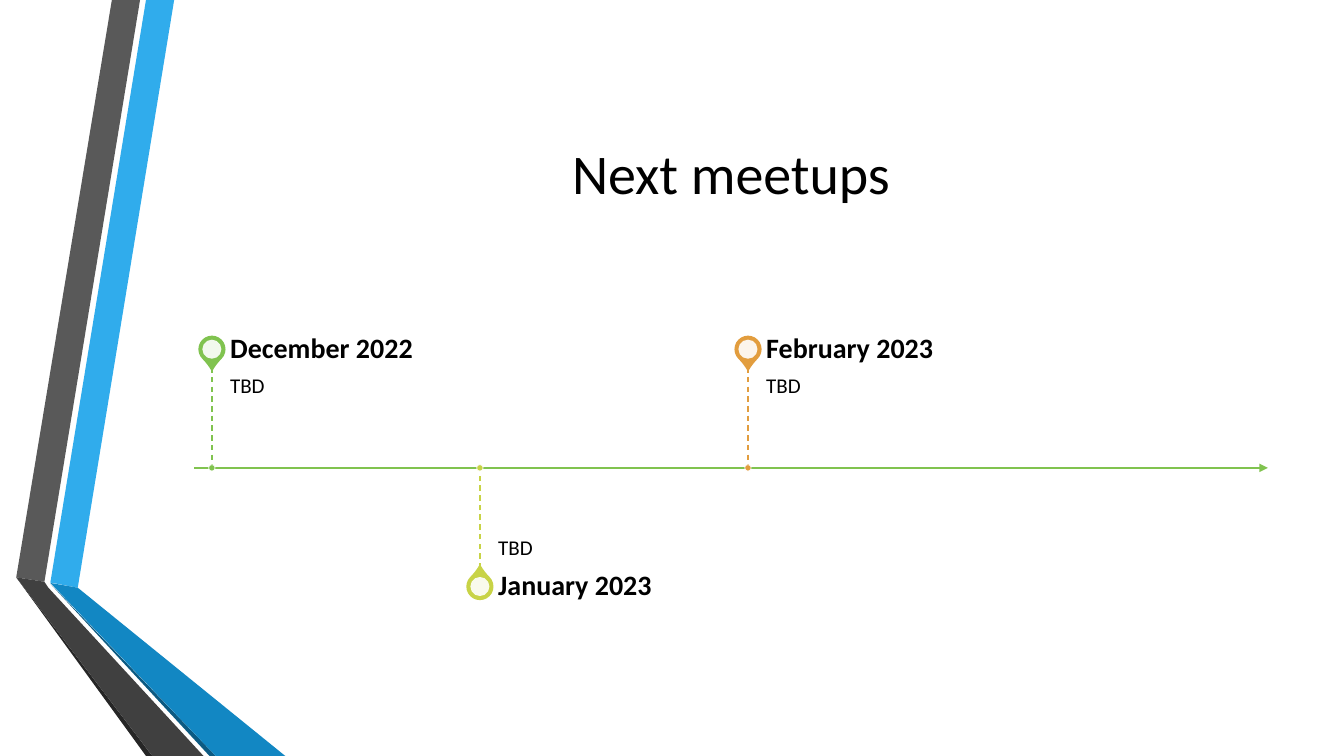
"""Build the "Next meetups" timeline slide."""
from lxml import etree
from pptx import Presentation
from pptx.dml.color import RGBColor
from pptx.enum.dml import MSO_LINE
from pptx.enum.shapes import MSO_CONNECTOR, MSO_SHAPE
from pptx.enum.text import MSO_ANCHOR, PP_ALIGN
from pptx.oxml.ns import qn
from pptx.util import Cm, Pt

STRAIGHT = MSO_CONNECTOR.STRAIGHT
TEARDROP, OVAL = MSO_SHAPE.TEAR, MSO_SHAPE.OVAL
TOP, MIDDLE, BOTTOM = MSO_ANCHOR.TOP, MSO_ANCHOR.MIDDLE, MSO_ANCHOR.BOTTOM
DASH = MSO_LINE.DASH
FONT = "Calibri"
COLORS = {
    "black": "000000", "white": "FFFFFF",
    "blue": "30ACEC", "mid blue": "1287C3", "deep blue": "0C5A82",
    "gray": "595959", "dark gray": "404040", "deep gray": "262626",
    "green": "80C34F", "lime": "C8D346", "orange": "E29D3E",
}
RIBBONS = [
    ("blue", [(1.27, 14.68), (1.96, 14.81), (4.39, 0), (3.68, 0)]),
    ("gray", [(3.53, 0), (2.82, 0), (0.41, 14.55), (1.12, 14.66)]),
    ("deep gray", [(0.41, 14.55), (3.68, 19.05), (3.84, 19.05)]),
    ("deep blue", [(1.27, 14.71), (5.28, 19.05), (5.44, 19.05)]),
    ("mid blue", [(1.27, 14.69), (5.44, 19.05), (7.19, 19.05), (1.96, 14.81)]),
    ("dark gray", [(5.13, 19.05), (1.22, 14.81), (1.12, 14.66), (0.41, 14.55),
                   (3.84, 19.05)]),
]
MEETUPS = [
    ("December 2022", "TBD", "green"),
    ("January 2023", "TBD", "lime"),
    ("February 2023", "TBD", "orange"),
]
AXIS_Y = 11.79
AXIS_LEFT, AXIS_RIGHT = 4.9, 31.95
FIRST_X, STEP_X = 5.34, 6.755
STEM, PIN_REACH = 2.54, 2.99
DATE_HEIGHT, LABEL_WIDTH, LABEL_GAP = 0.89, 11.25, 0.46

deck = Presentation()
deck.slide_width, deck.slide_height = Cm(33.87), Cm(19.05)
page = deck.slides.add_slide(deck.slide_layouts[5])


def add_line(start, end, color, width):
    line = page.shapes.add_connector(STRAIGHT, *map(Cm, start + end))
    line.line.color.rgb = RGBColor.from_string(COLORS[color])
    line.line.width = Pt(width)
    etree.SubElement(line._element.spPr, qn("a:effectLst"))
    return line


def add_round(kind, x, y, size, fill, outline=None, width=0):
    shape = page.shapes.add_shape(
        kind, Cm(x - size / 2), Cm(y - size / 2), Cm(size), Cm(size))
    shape.shadow.inherit = False
    shape.fill.solid()
    shape.fill.fore_color.rgb = RGBColor.from_string(COLORS[fill])
    if outline:
        shape.line.color.rgb = RGBColor.from_string(COLORS[outline])
        shape.line.width = Pt(width)
    else:
        shape.line.fill.background()
    return shape


for color, points in RIBBONS:
    corners = [(Cm(x), Cm(y)) for x, y in points]
    builder = page.shapes.build_freeform(*corners[0])
    builder.add_line_segments(corners[1:], close=True)
    ribbon = builder.convert_to_shape()
    ribbon.shadow.inherit = False
    ribbon.fill.solid()
    ribbon.fill.fore_color.rgb = RGBColor.from_string(COLORS[color])
    ribbon.line.fill.background()

title = page.shapes.title
title.left, title.top, title.width, title.height = map(Cm, (4.9, 1.9, 27.05, 4.88))
title.text_frame.text = "Next meetups"
title.text_frame.vertical_anchor = MIDDLE
heading = title.text_frame.paragraphs[0]
heading.alignment = PP_ALIGN.CENTER
heading.font.name, heading.font.size = FONT, Pt(40)
heading.font.color.rgb = RGBColor.from_string(COLORS["black"])

axis = add_line((AXIS_LEFT, AXIS_Y), (AXIS_RIGHT, AXIS_Y), "green", 1.5)
etree.SubElement(axis.line._get_or_add_ln(), qn("a:tailEnd"), type="triangle")

for index, (date, detail, color) in enumerate(MEETUPS):
    x = FIRST_X + index * STEP_X
    above = index % 2 == 0
    side = -1 if above else 1
    pin_y = AXIS_Y + side * PIN_REACH
    stem_y = AXIS_Y + side * STEM

    pin = add_round(TEARDROP, x, pin_y, 0.64, color, color, 1.25)
    pin.adjustments[0] = 1.15
    pin.rotation = 135 if above else 315
    center = add_round(OVAL, x, pin_y, 0.48, "white")
    tint = center._element.spPr.find(qn("a:solidFill"))[0]
    etree.SubElement(tint, qn("a:alpha"), val="90000")

    if above:
        detail_look = (stem_y, TOP, (0.25, 0.41))
        date_top = stem_y - DATE_HEIGHT
    else:
        detail_look = (AXIS_Y, BOTTOM, (0.41, 0.25))
        date_top = stem_y
    labels = [
        (detail, STEM, 15, False, *detail_look),
        (date, DATE_HEIGHT, 20, True, date_top, MIDDLE, (0, 0)),
    ]
    for text, height, size, bold, top, anchor, insets in labels:
        box = page.shapes.add_textbox(
            Cm(x + LABEL_GAP), Cm(top), Cm(LABEL_WIDTH), Cm(height))
        frame = box.text_frame
        frame.word_wrap = True
        frame.vertical_anchor = anchor
        frame.margin_left, frame.margin_right = Cm(0), Cm(0.36)
        frame.margin_top, frame.margin_bottom = map(Cm, insets)
        para = frame.paragraphs[0]
        para.text = text
        para.line_spacing = 0.9
        para.font.name, para.font.size, para.font.bold = FONT, Pt(size), bold
        para.font.color.rgb = RGBColor.from_string(COLORS["black"])

    stem = add_line((x, stem_y), (x, AXIS_Y), color, 1)
    stem.line.dash_style = DASH
    add_round(OVAL, x, AXIS_Y, 0.16, color, "white", 0.5)

deck.save("out.pptx")
